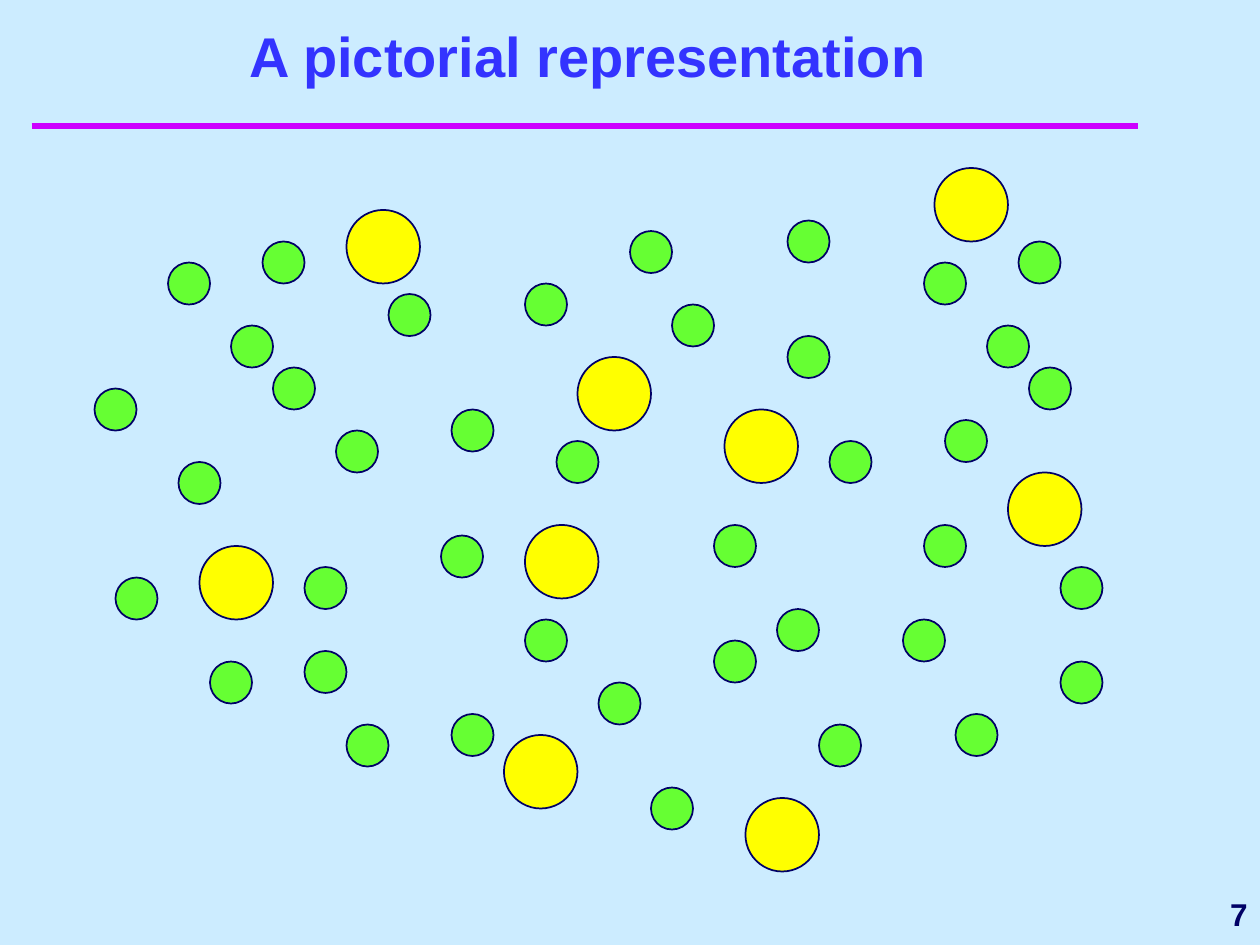
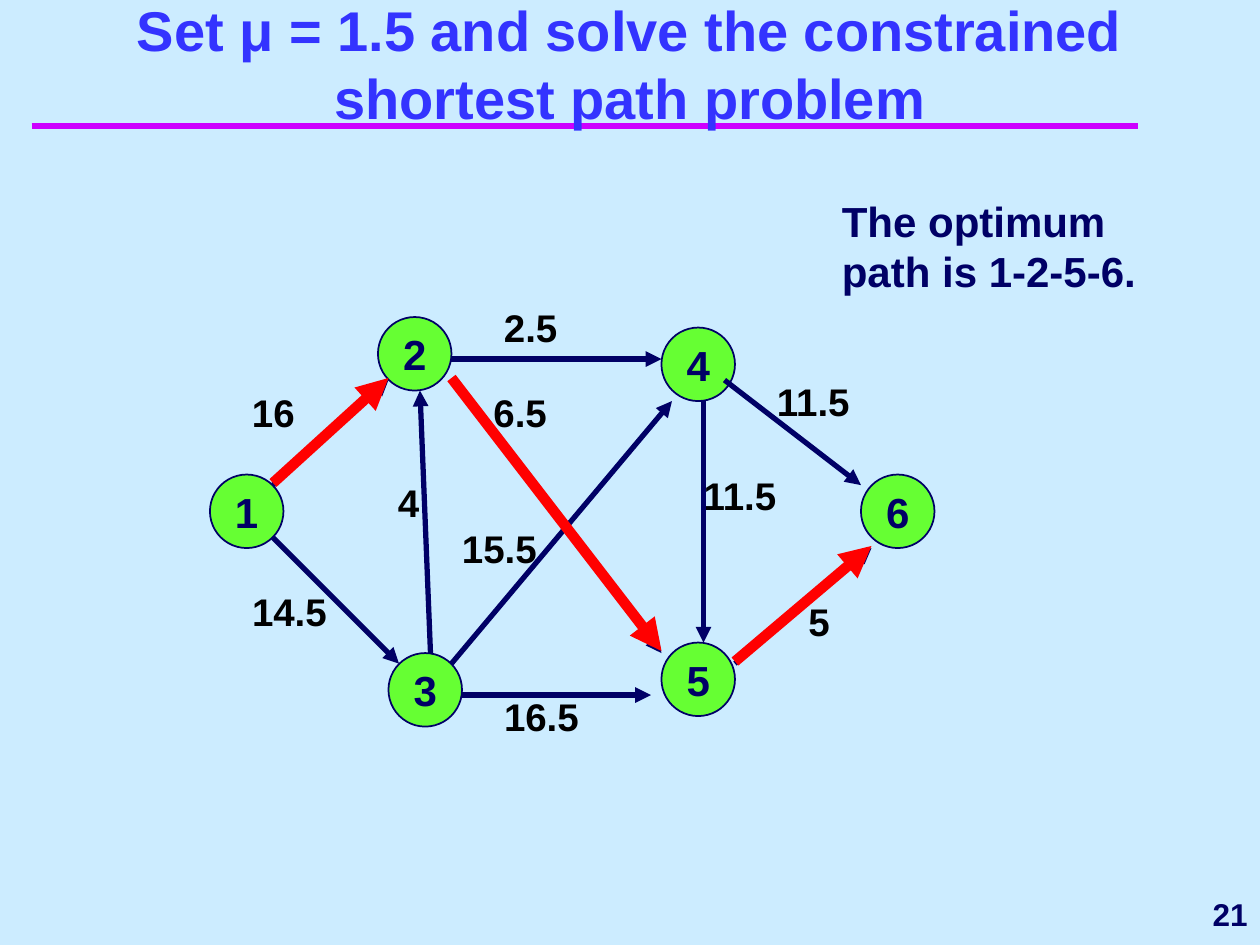
"""Build two network slides on a twelfth-of-an-inch grid."""
from dataclasses import dataclass

from lxml import etree
from pptx import Presentation
from pptx import util as u
from pptx.dml.color import RGBColor
from pptx.enum import shapes, text
from pptx.oxml import ns

COLUMNS, ROWS = 120, 90
CELL = u.Inches(10) // COLUMNS
FONT = "Arial"
SKY = RGBColor(0xCC, 0xEC, 0xFF)
NAVY = RGBColor(0x00, 0x00, 0x66)
BLUE = RGBColor(0x33, 0x33, 0xFF)
MAGENTA = RGBColor(0xCC, 0x00, 0xFF)
GREEN = RGBColor(0x66, 0xFF, 0x33)
YELLOW = RGBColor(0xFF, 0xFF, 0x00)
RED = RGBColor(0xFF, 0x00, 0x00)
BLACK = RGBColor(0x00, 0x00, 0x00)
LEFT, CENTER, RIGHT = text.PP_ALIGN.LEFT, text.PP_ALIGN.CENTER, text.PP_ALIGN.RIGHT
TOP, MIDDLE, BOTTOM = text.MSO_ANCHOR.TOP, text.MSO_ANCHOR.MIDDLE, text.MSO_ANCHOR.BOTTOM

SMALL, LARGE = 4, 7
GRAPH_SHIFT = 0.2
DIGIT_WIDTH = 2.04


@dataclass(frozen=True)
class Box:
    column: float
    row: float
    width: float
    height: float

    def emu(self) -> list[int]:
        return [cells(value) for value in (self.column, self.row, self.width, self.height)]


@dataclass(frozen=True)
class Style:
    size: int
    color: RGBColor
    align: text.PP_ALIGN = LEFT
    anchor: text.MSO_ANCHOR = TOP
    wrap: bool = False
    inset: bool = True
    grow: bool = False


@dataclass(frozen=True)
class Edge:
    start: tuple[float, float]
    end: tuple[float, float]
    on_path: bool = False


@dataclass(frozen=True)
class Mark:
    words: str
    column: float
    row: float


TITLE = Style(32, BLUE, CENTER, BOTTOM, wrap=True)
NUMBER = Style(18, NAVY, RIGHT, MIDDLE)
NODE = Style(24, NAVY, CENTER, MIDDLE)
COST = Style(22, BLACK, inset=False, grow=True)
REMARK = Style(24, NAVY, wrap=True, grow=True)

SMALL_DOTS = [
    (16, 25), (9, 37), (25, 23), (22, 31), (37, 28), (26, 35), (20, 63), (64, 29),
    (32, 41), (43, 39), (86, 59), (17, 44), (50, 27), (42, 51), (29, 54), (68, 50),
    (75, 32), (50, 59), (53, 42), (43, 68), (90, 40), (68, 61), (60, 22), (88, 25),
    (79, 42), (97, 23), (94, 31), (98, 35), (88, 50), (101, 54), (78, 69), (75, 21),
    (91, 68), (74, 58), (101, 63), (33, 69), (57, 65), (11, 55), (29, 62), (62, 75),
]
LARGE_DOTS = [
    (19, 52), (55, 34), (69, 39), (33, 20), (48, 70), (71, 76), (96, 45), (50, 50), (89, 16),
]
NODES = [
    Mark("1", 20, 45), Mark("2", 36, 30), Mark("4", 63, 31),
    Mark("5", 63, 61), Mark("3", 37, 62), Mark("6", 82, 45),
]
COSTS = [
    Mark("16", 24, 37), Mark("2.5", 48, 29), Mark("11.5", 74, 36), Mark("6.5", 47, 37),
    Mark("14.5", 24, 56), Mark("16.5", 48, 66), Mark("5", 77, 57), Mark("4", 37.9, 45.6),
    Mark("11.5", 67, 45), Mark("15.5", 44, 50),
]
EDGES = [
    Edge((26, 46), (37, 36), on_path=True),
    Edge((43, 34), (63, 34)),
    Edge((43, 36), (63, 62), on_path=True),
    Edge((26, 51), (38, 63)),
    Edge((41, 62), (40, 37)),
    Edge((43, 63), (64, 38)),
    Edge((44, 66), (62, 66)),
    Edge((70, 63), (83, 52), on_path=True),
    Edge((69, 36), (82, 46)),
    Edge((67, 38), (67, 61)),
]


def cells(count: float) -> int:
    """Turn a number of grid cells into a length."""
    return round(count * CELL)


def write(shape, words: str, style: Style) -> None:
    """Set the text of a shape in one style."""
    frame = shape.text_frame
    frame.word_wrap = style.wrap
    frame.vertical_anchor = style.anchor
    if style.grow:
        frame.auto_size = text.MSO_AUTO_SIZE.SHAPE_TO_FIT_TEXT
    if not style.inset:
        frame.margin_left = frame.margin_right = frame.margin_top = frame.margin_bottom = 0
    paragraph = frame.paragraphs[0]
    paragraph.text = words
    paragraph.alignment = style.align
    font = paragraph.font
    font.name, font.size, font.bold = FONT, u.Pt(style.size), True
    font.color.rgb = style.color


def add_text(parent, box: Box, words: str, style: Style) -> None:
    """Add a text box."""
    write(parent.add_textbox(*box.emu()), words, style)


def add_circle(parent, column: float, row: float, size: float, color: RGBColor):
    """Add an outlined circle by its top left corner."""
    box = Box(column, row, size, size)
    circle = parent.add_shape(shapes.MSO_SHAPE.OVAL, *box.emu())
    circle.shadow.inherit = False
    circle.fill.solid()
    circle.fill.fore_color.rgb = color
    circle.line.color.rgb = NAVY
    circle.line.width = u.Pt(1)
    return circle


def add_line(parent, start: tuple[float, float], end: tuple[float, float],
             color: RGBColor, points: float, arrow: bool = False) -> None:
    """Add a straight line, with an arrowhead at its end if asked."""
    ends = [cells(value) for value in (*start, *end)]
    line = parent.add_connector(shapes.MSO_CONNECTOR.STRAIGHT, *ends)
    line.line.color.rgb = color
    line.line.width = u.Pt(points)
    properties = line.element.spPr
    etree.SubElement(properties, ns.qn("a:effectLst"))
    if arrow:
        etree.SubElement(properties.find(ns.qn("a:ln")), ns.qn("a:tailEnd"), type="triangle")


def add_edge(parent, edge: Edge, shift: float, color: RGBColor, points: float) -> None:
    """Add an arrow for an edge, moved down by a shift."""
    start, end = ((column, row + shift) for column, row in (edge.start, edge.end))
    add_line(parent, start, end, color, points, arrow=True)


def add_slide(presentation, number: int):
    """Add a blank slide with the rule and the page number."""
    slide = presentation.slides.add_slide(presentation.slide_layouts[6])
    slide.background.fill.solid()
    slide.background.fill.fore_color.rgb = SKY
    add_line(slide.shapes, (3, 12), (108.4, 12), MAGENTA, 4)
    add_text(slide.shapes, Box(COLUMNS - 19, ROWS - 6, 19, 6), str(number), NUMBER)
    return slide


def build_pictorial(presentation) -> None:
    """Build the slide of scattered dots."""
    slide = add_slide(presentation, 7)
    add_text(slide.shapes, Box(5, 4, 102, 5), "A pictorial representation", TITLE)
    for dots, size, color in ((SMALL_DOTS, SMALL, GREEN), (LARGE_DOTS, LARGE, YELLOW)):
        group = slide.shapes.add_group_shape()
        for column, row in dots:
            add_circle(group.shapes, column, row, size, color)


def build_shortest_path(presentation) -> None:
    """Build the slide of the network and its optimum path."""
    slide = add_slide(presentation, 21)
    for cost in COSTS:
        width = DIGIT_WIDTH * sum(0.5 if letter == "." else 1 for letter in cost.words)
        add_text(slide.shapes, Box(cost.column, cost.row, width, 4.4), cost.words, COST)
    for node in NODES:
        circle = add_circle(slide.shapes, node.column, node.row + GRAPH_SHIFT, LARGE, GREEN)
        write(circle, node.words, NODE)
    for edge in EDGES:
        add_edge(slide.shapes, edge, GRAPH_SHIFT, NAVY, 3)
    add_text(slide.shapes, Box(5, 8, 110, 5),
             "Set μ = 1.5 and solve the constrained shortest path problem", TITLE)
    optimum_path = slide.shapes.add_group_shape()
    for edge in EDGES:
        if edge.on_path:
            add_edge(optimum_path.shapes, edge, 0, RED, 6)
    add_text(slide.shapes, Box(79, 18, 35, 10.8), "The optimum path is 1-2-5-6.", REMARK)


def main() -> None:
    """Build and save the presentation."""
    presentation = Presentation()
    presentation.slide_width = cells(COLUMNS)
    presentation.slide_height = cells(ROWS)
    build_pictorial(presentation)
    build_shortest_path(presentation)
    presentation.save("out.pptx")


if __name__ == "__main__":
    main()
